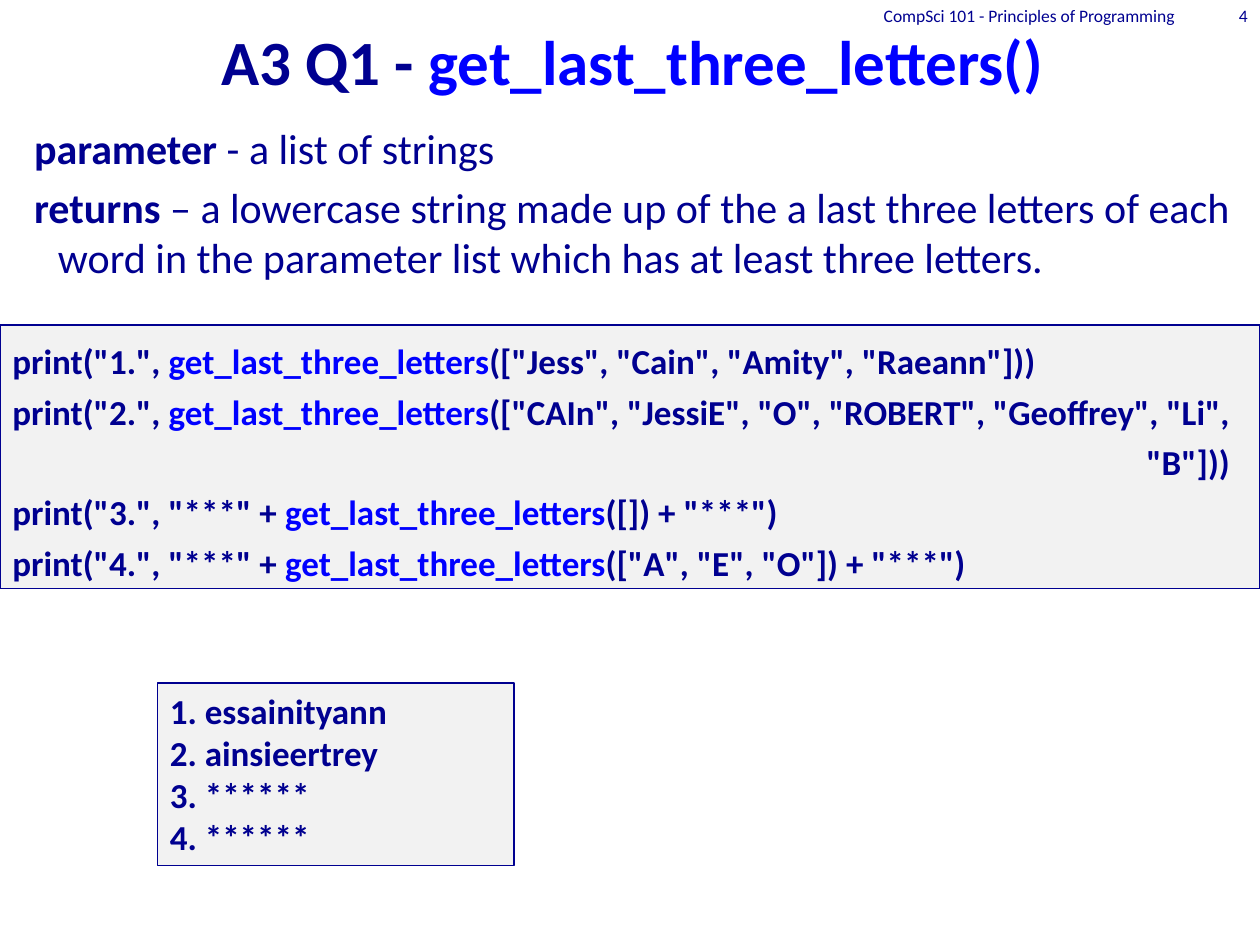
"""Build the get_last_three_letters() assignment slide."""
from typing import NamedTuple

from pptx import Presentation
from pptx.dml.color import RGBColor
from pptx.enum.shapes import MSO_SHAPE as Preset
from pptx.enum.text import MSO_ANCHOR as Anchor, MSO_AUTO_SIZE as AutoSize, PP_ALIGN as Align
from pptx.oxml.xmlchemy import OxmlElement
from pptx.util import Inches, Pt

NAVY, BLUE, GREY = "000090", "0000FF", "F2F2F2"
FUNCTION = "get_last_three_letters"


class Span(NamedTuple):
    text: str
    color: str = NAVY
    bold: bool = True


class Line(NamedTuple):
    spans: list[Span]
    left: float = 0
    hanging: float = 0
    before: float = 0


class Area(NamedTuple):
    left: float
    top: float
    width: float
    height: float

    def lengths(self) -> list[int]:
        return [Inches(value) for value in self]


def rgb(color: str) -> RGBColor:
    return RGBColor.from_string(color)


def place(shape, area: Area) -> None:
    shape.left, shape.top, shape.width, shape.height = area.lengths()


def write(shape, lines: list[Line], size: float, align=Align.LEFT,
          anchor=Anchor.TOP, spacing: float = 1.0) -> None:
    frame = shape.text_frame
    frame.word_wrap = True
    frame.auto_size = AutoSize.NONE
    frame.vertical_anchor = anchor
    for index, line in enumerate(lines):
        para = frame.add_paragraph() if index else frame.paragraphs[0]
        properties = para._p.get_or_add_pPr()
        properties.set("marL", str(Inches(line.left)))
        properties.set("indent", str(Inches(-line.hanging)))
        properties.append(OxmlElement("a:buNone"))
        para.alignment = align
        para.line_spacing = spacing
        para.space_before = Pt(line.before)
        for span in line.spans:
            run = para.add_run()
            run.text = span.text
            run.font.name = "Calibri"
            run.font.size = Pt(size)
            run.font.bold = span.bold
            run.font.color.rgb = rgb(span.color)


def add_label(page, area: Area, text: str) -> None:
    box = page.shapes.add_textbox(*area.lengths())
    write(box, [Line([Span(text, bold=False)])], 10, Align.RIGHT, Anchor.MIDDLE)


def add_panel(page, area: Area, lines: list[Line], spacing: float = 1.0) -> None:
    box = page.shapes.add_shape(Preset.RECTANGLE, *area.lengths())
    box.shadow.inherit = False
    box.fill.solid()
    box.fill.fore_color.rgb = rgb(GREY)
    box.line.color.rgb = rgb(NAVY)
    box.line.width = Pt(0.75)
    write(box, lines, 20, spacing=spacing)


def call(before: str, after: str) -> Line:
    return Line([Span(before), Span(FUNCTION, BLUE), Span(after)])


def definition(term: str, meaning: str, before: float = 0) -> Line:
    return Line([Span(term), Span(meaning, bold=False)], 0.19, 0.19, before)


def main() -> None:
    deck = Presentation()
    deck.slide_width, deck.slide_height = Inches(10), Inches(7.5)
    page = deck.slides.add_slide(deck.slide_layouts[1])

    title, body = page.shapes.title, page.placeholders[1]
    place(title, Area(0.04, 0, 9.96, 0.83))
    write(title, [Line([Span("A3 Q1 - "), Span(FUNCTION + "()", BLUE)])],
          36, Align.CENTER, Anchor.BOTTOM)
    place(body, Area(0.17, 0.92, 9.83, 6.5))
    write(body, [
        definition("parameter", " - a list of strings"),
        definition("returns ", "– a lowercase string made up of the a last three letters of "
                   "each word in the parameter list which has at least three letters.", 4.8),
    ], 24)

    add_label(page, Area(9.42, 0.04, 0.58, 0.17), "4")
    add_label(page, Area(6.42, 0.04, 3, 0.17), "CompSci 101 - Principles of Programming")

    add_panel(page, Area(0, 2.58, 10, 2.09), [
        call('print("1.", ', '(["Jess", "Cain", "Amity", "Raeann"]))'),
        call('print("2.", ', '(["CAIn", "JessiE", "O", "ROBERT", "Geoffrey", "Li",'),
        Line([Span('"B"]))')], left=9),
        call('print("3.", "***" + ', '([]) + "***")'),
        call('print("4.", "***" + ', '(["A", "E", "O"]) + "***")'),
    ], 1.2)
    results = ["essainityann", "ainsieertrey", "******", "******"]
    add_panel(page, Area(1.25, 5.42, 2.83, 1.45),
              [Line([Span(f"{number}. {result}")]) for number, result in enumerate(results, 1)])

    deck.save("out.pptx")


if __name__ == "__main__":
    main()
